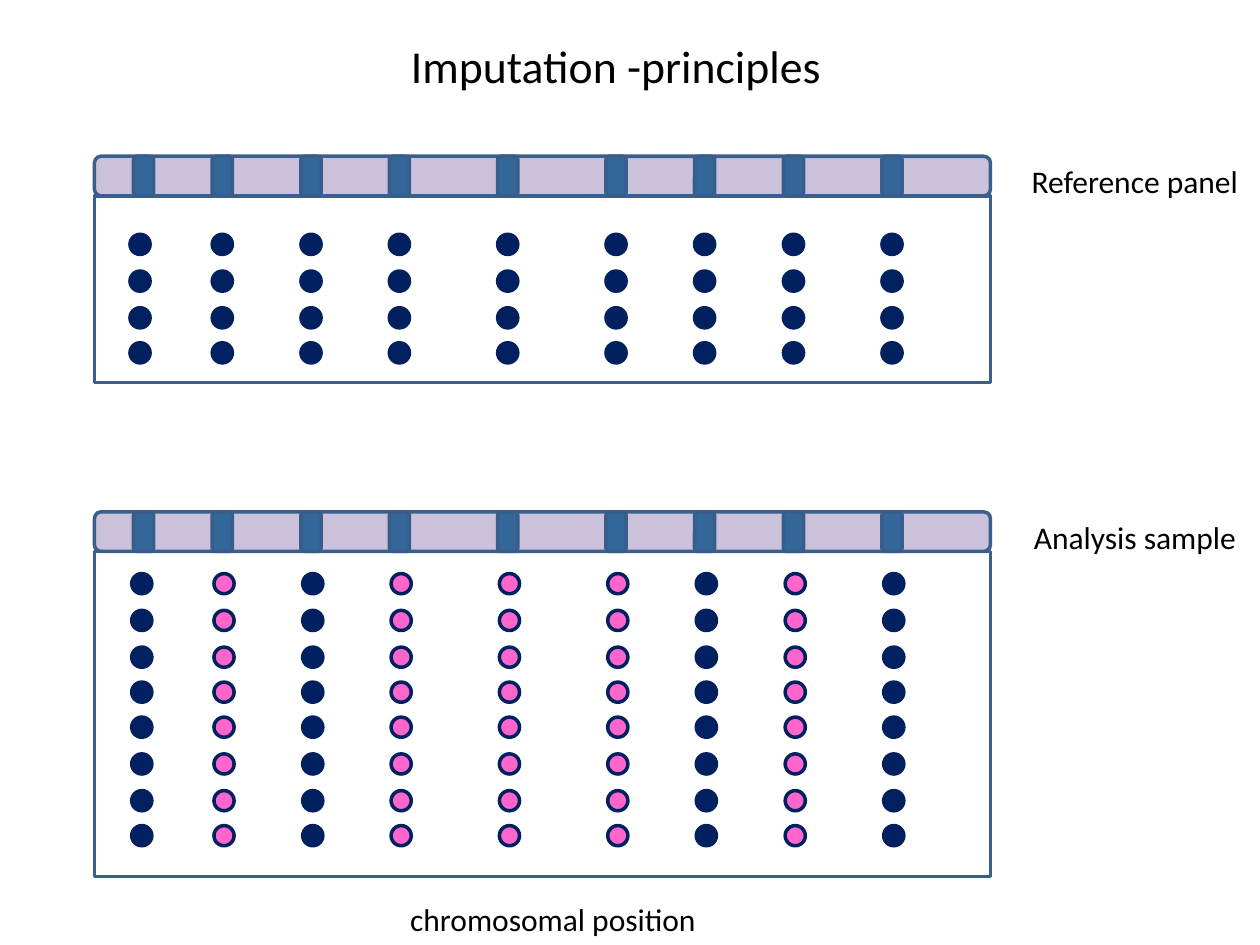
from dataclasses import dataclass

from pptx import Presentation
from pptx.dml.color import RGBColor
from pptx.enum.shapes import MSO_SHAPE
from pptx.enum.text import MSO_ANCHOR, MSO_AUTO_SIZE, PP_ALIGN
from pptx.util import Pt


@dataclass(frozen=True)
class Theme:
    """Colours, type sizes and line width of the slide."""
    font: str = "Calibri"
    ink: str = "000000"
    bar: str = "CCC1DA"
    edge: str = "3A5F8C"
    mark: str = "336699"
    rim: str = "385D8A"
    known: str = "002060"
    guess: str = "FF66CC"
    title: float = 26.1
    label: float = 18
    line: float = 2


THEME = Theme()
LEFT, WIDTH = 54, 512
BAR = 22.6
SIZE = 11.5
SITES = [76.3, 121.3, 172, 222.5, 284.4, 346.3, 396.9, 447.7, 504]
STEPS = [0, 21, 42, 62]
CYCLE = 82
IMPUTED = {1, 3, 4, 5, 7}


def write(shape, text, size, anchor):
    """Put centred text in a box."""
    frame = shape.text_frame
    look = {"word_wrap": True, "auto_size": MSO_AUTO_SIZE.NONE,
            "vertical_anchor": anchor}
    for key, value in look.items():
        setattr(frame, key, value)
    frame.text = text
    para = frame.paragraphs[0]
    para.alignment = PP_ALIGN.CENTER
    for key, value in {"name": THEME.font, "size": Pt(size)}.items():
        setattr(para.font, key, value)
    para.font.color.rgb = RGBColor.from_string(THEME.ink)


def add_title(slide, text):
    """Place and fill the title placeholder."""
    title = slide.shapes.title
    place = {"left": 28, "top": 16.5, "width": 648, "height": 42}
    for key, value in place.items():
        setattr(title, key, Pt(value))
    write(title, text, THEME.title, MSO_ANCHOR.MIDDLE)


def add_label(slide, text, x, y, width):
    """Add a one-line label."""
    box = slide.shapes.add_textbox(Pt(x), Pt(y), Pt(width), Pt(29))
    write(box, text, THEME.label, MSO_ANCHOR.TOP)


def add_form(slide, kind, x, y, width, height, fill, edge):
    """Add an outlined shape, hollow when fill is None."""
    form = slide.shapes.add_shape(kind, Pt(x), Pt(y), Pt(width), Pt(height))
    form.shadow.inherit = False
    if fill:
        form.fill.solid()
        form.fill.fore_color.rgb = RGBColor.from_string(fill)
    else:
        form.fill.background()
    form.line.color.rgb = RGBColor.from_string(edge)
    form.line.width = Pt(THEME.line)


def add_dots(slide, top, cycles, shift, imputed):
    """Add the grid of genotype dots, one column per site."""
    rows = [CYCLE * turn + step for turn in range(cycles) for step in STEPS]
    for row in rows:
        for col, site in enumerate(SITES):
            x = site + shift - (2 if col == 0 else 0)
            fill = THEME.guess if col in imputed else THEME.known
            add_form(slide, MSO_SHAPE.OVAL, x, top + row, SIZE, SIZE,
                     fill, THEME.known)


def add_panel(slide, name, top, height, gap, cycles, shift=0, imputed=()):
    """Add a chromosome bar with its sites, frame, dots and label."""
    base = top + BAR
    add_form(slide, MSO_SHAPE.ROUNDED_RECTANGLE, LEFT, top, WIDTH, BAR,
             THEME.bar, THEME.edge)
    add_form(slide, MSO_SHAPE.RECTANGLE, LEFT, base, WIDTH, height,
             None, THEME.edge)
    add_label(slide, name, 577, top, 143)
    for site in SITES:
        add_form(slide, MSO_SHAPE.ROUNDED_RECTANGLE, site, top, SIZE, BAR,
                 THEME.mark, THEME.rim)
    add_dots(slide, base + gap, cycles, shift, imputed)


def main():
    """Build and save the slide."""
    deck = Presentation()
    deck.slide_width, deck.slide_height = Pt(720), Pt(540)
    slide = deck.slides.add_slide(deck.slide_layouts[5])
    add_title(slide, "Imputation -principles")
    add_panel(slide, "Reference panel", 89.3, 106.6, 22, 1)
    add_panel(slide, "Analysis sample", 292.5, 185.8, 12.7, 2, 1, IMPUTED)
    add_label(slide, "chromosomal position", 200, 511, 232)
    deck.save("out.pptx")


if __name__ == "__main__":
    main()
